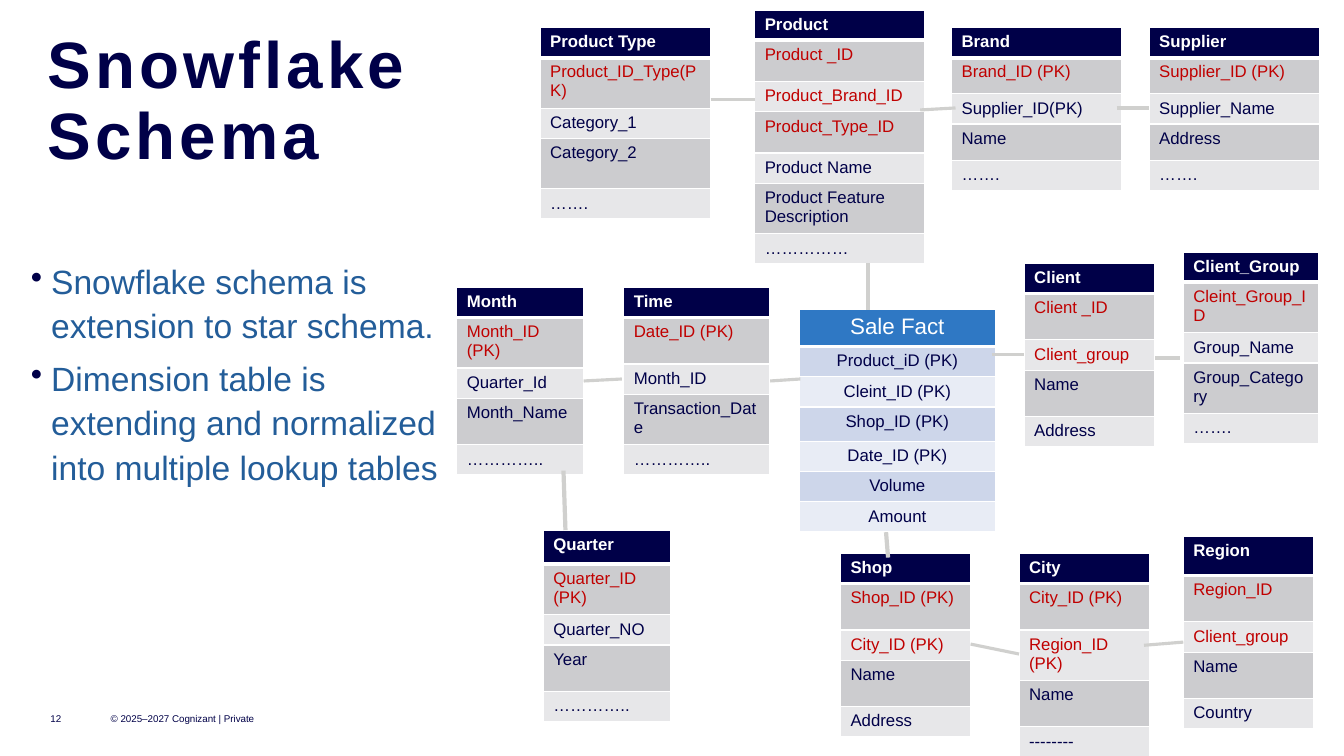
from lxml import etree
from pptx import Presentation
from pptx.dml.color import RGBColor
from pptx.enum.shapes import MSO_CONNECTOR
from pptx.enum.text import MSO_ANCHOR, PP_ALIGN
from pptx.oxml.ns import qn
from pptx.util import Cm, Pt

LINE = MSO_CONNECTOR.STRAIGHT
TOP, MIDDLE, BOTTOM = MSO_ANCHOR.TOP, MSO_ANCHOR.MIDDLE, MSO_ANCHOR.BOTTOM
LEFT, CENTER = PP_ALIGN.LEFT, PP_ALIGN.CENTER

COLORS = {
    "navy": "000048", "white": "FFFFFF", "red": "C00000", "blue": "235D99",
    "dark": "CCCCCF", "light": "E7E7E9", "link": "D0D0CE",
    "fact": "2F78C4", "fact_dark": "CDD6EA", "fact_light": "E8ECF5",
}
FONTS = {
    "title": {"size": Pt(46.8), "bold": True},
    "body": {"size": Pt(24), "bold": False},
    "foot": {"size": Pt(7), "bold": False},
    "head": {"size": Pt(12), "bold": True},
    "cell": {"size": Pt(12), "bold": False},
    "fact": {"size": Pt(16), "bold": False},
}


def rgb(name):
    return RGBColor.from_string(COLORS[name])


def write(para, text, style, color):
    """Add a run in one of the named font styles."""
    run = para.add_run()
    run.text = text
    run.font.name = "Arial"
    run.font.color.rgb = rgb(color)
    for key, value in FONTS[style].items():
        setattr(run.font, key, value)
    return run


deck = Presentation()
deck.slide_width, deck.slide_height = Cm(33.87), Cm(19.05)
slide = deck.slides.add_slide(deck.slide_layouts[6])
shapes = slide.shapes

# Text boxes: place, anchor, inset, style, colour, line spacing, paragraphs
boxes = [
    ((2.79, 17.78, 3.81, 0.64), MIDDLE, 0, "foot", "navy", 1,
     ["© 2025–2027 Cognizant | Private"]),
    ((1.27, 17.78, 1.02, 0.64), MIDDLE, 0, "foot", "navy", 1, ["12"]),
    ((1.19, 0.69, 12.22, 3.68), BOTTOM, 0, "title", "navy", 0.9,
     ["Snowflake Schema"]),
    ((0.53, 6.35, 11, 9.32), TOP, 0.25, "body", "blue", 1.1,
     ["Snowflake schema is extension to star schema.",
      "Dimension table is extending and normalized into multiple lookup tables"]),
]
for place, anchor, inset, style, color, space, texts in boxes:
    frame = shapes.add_textbox(*map(Cm, place)).text_frame
    frame.word_wrap = True
    frame.vertical_anchor = anchor
    frame.margin_left = frame.margin_right = Cm(inset)
    frame.margin_top = frame.margin_bottom = Cm(inset / 2)
    for i, text in enumerate(texts):
        para = frame.paragraphs[0] if i == 0 else frame.add_paragraph()
        para.line_spacing = space
        para.space_before = Pt(6 if i else 0)
        if style == "body":
            props = para._p.get_or_add_pPr()
            props.set("marL", str(Cm(0.51)))
            props.set("indent", str(Cm(-0.51)))
            tint = etree.SubElement(props, qn("a:buClr"))
            etree.SubElement(tint, qn("a:srgbClr"), val=COLORS["navy"])
            etree.SubElement(props, qn("a:buChar"), char="•")
        run = write(para, text, style, color)
        if style == "title":
            run._r.get_or_add_rPr().set("spc", "300")

# Tables: left, top, width, row heights, number of red key rows, row texts
PLAIN = [0.73, 1.17, 0.73, 1.17, 0.73]
FLAT = [0.73, 0.91, 0.73, 0.91, 0.73]
WIDE = [0.76, 1.27, 0.76, 1.27, 0.76]
tables = [
    (19.02, 0.25, 4.29, [0.73, 1.04, 0.73, 1.04, 0.73, 1.17, 0.73], 3,
     ["Product", "Product _ID", "Product_Brand_ID", "Product_Type_ID",
      "Product Name", "Product Feature Description", "……………"]),
    (20.14, 7.8, 4.95, [0.89, 0.76, 0.76, 0.86, 0.76, 0.76, 0.76], 0,
     ["Sale Fact", "Product_iD (PK)", "Cleint_ID (PK)", "Shop_ID (PK)",
      "Date_ID (PK)", "Volume", "Amount"]),
    (13.61, 0.69, 4.29, [0.76, 1.09, *WIDE[2:]], 1,
     ["Product Type", "Product_ID_Type(PK)", "Category_1", "Category_2", "……."]),
    (23.98, 0.69, 4.29, FLAT, 1,
     ["Brand", "Brand_ID (PK)", "Supplier_ID(PK)", "Name", "……."]),
    (28.96, 0.69, 4.29, FLAT, 1,
     ["Supplier", "Supplier_ID (PK)", "Supplier_Name", "Address", "……."]),
    (25.81, 6.63, 3.28, PLAIN, 2,
     ["Client", "Client _ID", "Client_group", "Name", "Address"]),
    (29.82, 6.35, 3.4, WIDE, 1,
     ["Client_Group", "Cleint_Group_ID", "Group_Name", "Group_Category", "……."]),
    (21.18, 13.94, 3.28, PLAIN, 2,
     ["Shop", "Shop_ID (PK)", "City_ID (PK)", "Name", "Address"]),
    (25.68, 13.94, 3.28, PLAIN, 2,
     ["City", "City_ID (PK)", "Region_ID (PK)", "Name", "--------"]),
    (29.82, 13.51, 3.28, [0.99, *PLAIN[1:]], 2,
     ["Region", "Region_ID", "Client_group", "Name", "Country"]),
    (15.72, 7.24, 3.68, PLAIN, 1,
     ["Time", "Date_ID (PK)", "Month_ID", "Transaction_Date", "………….."]),
    (11.51, 7.24, 3.2, PLAIN, 1,
     ["Month", "Month_ID (PK)", "Quarter_Id", "Month_Name", "………….."]),
    (13.69, 13.36, 3.2, [0.86, *PLAIN[1:]], 1,
     ["Quarter", "Quarter_ID (PK)", "Quarter_NO", "Year", "………….."]),
]
for left, top, width, heights, keys, texts in tables:
    fact = keys == 0
    head, odd, even = (("fact", "fact_dark", "fact_light") if fact
                       else ("navy", "dark", "light"))
    grid = shapes.add_table(len(texts), 1, Cm(left), Cm(top), Cm(width),
                            Cm(sum(heights))).table
    for i, (text, height) in enumerate(zip(texts, heights)):
        grid.rows[i].height = Cm(height)
        cell = grid.cell(i, 0)
        props = cell._tc.get_or_add_tcPr()
        for side in ("lnL", "lnR", "lnT", "lnB"):
            thick = (i, side) in ((0, "lnB"), (1, "lnT"))
            edge = etree.SubElement(props, qn(f"a:{side}"),
                                    w=str(Pt(3 if thick else 1)))
            fill = etree.SubElement(edge, qn("a:solidFill"))
            etree.SubElement(fill, qn("a:srgbClr"), val=COLORS["white"])
        cell.fill.solid()
        cell.fill.fore_color.rgb = rgb(head if i == 0 else odd if i % 2 else even)
        para = cell.text_frame.paragraphs[0]
        para.alignment = CENTER if fact else LEFT
        if i == 0:
            write(para, text, "fact" if fact else "head", "white")
        else:
            write(para, text, "cell", "red" if i <= keys else "navy")

# Links between tables: start x, start y, end x, end y, width in points
links = [
    (21.87, 6.63, 21.87, 7.8, 3),
    (22.33, 13.41, 22.38, 14.05, 3),
    (17.91, 2.51, 19.02, 2.51, 2.25),
    (23.19, 2.77, 24.08, 2.72, 2.25),
    (19.41, 9.6, 20.17, 9.55, 2.25),
    (24.99, 8.94, 25.81, 8.94, 2.25),
    (29.11, 9.02, 29.74, 9.02, 2.25),
    (14.71, 9.6, 15.67, 9.55, 2.25),
    (14.2, 11.86, 14.25, 13.36, 3),
    (24.46, 16.23, 25.68, 16.48, 2.25),
    (28.83, 16.26, 29.82, 16.18, 2.25),
    (28.14, 2.72, 28.96, 2.72, 2.25),
]
for *ends, weight in links:
    link = shapes.add_connector(LINE, *map(Cm, ends))
    link.line.color.rgb = rgb("link")
    link.line.width = Pt(weight)
    etree.SubElement(link._element.spPr, qn("a:effectLst"))

deck.save("out.pptx")
